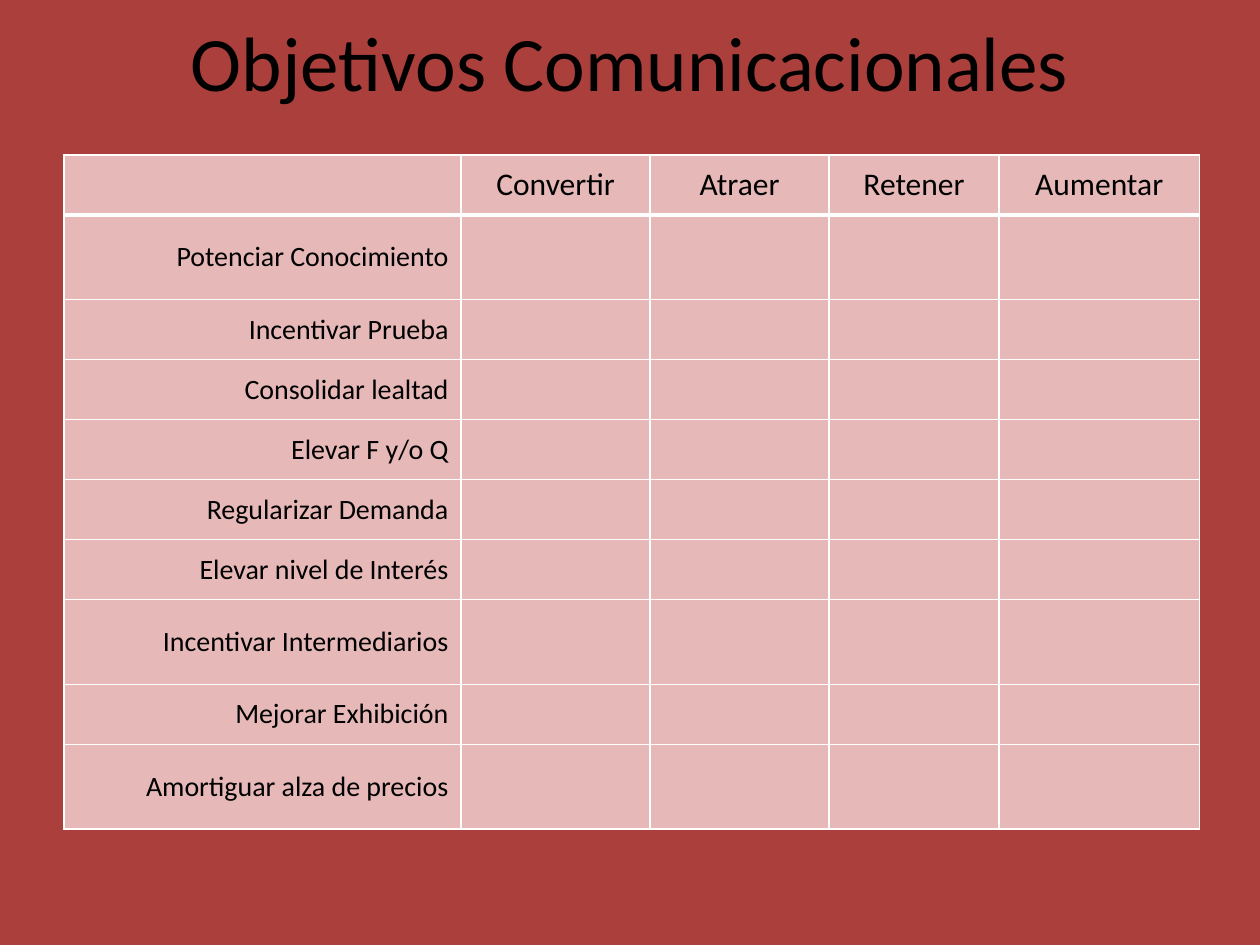
from dataclasses import dataclass

from lxml.etree import SubElement
from pptx import Presentation
from pptx.dml.color import RGBColor
from pptx.enum.text import MSO_ANCHOR, PP_ALIGN
from pptx.oxml.ns import qn
from pptx.util import Inches, Pt

TITLE = "Objetivos Comunicacionales"
STRATEGIES = ["Convertir", "Atraer", "Retener", "Aumentar"]
OBJECTIVES = [
    "Potenciar Conocimiento",
    "Incentivar Prueba",
    "Consolidar lealtad",
    "Elevar F y/o Q",
    "Regularizar Demanda",
    "Elevar nivel de Interés",
    "Incentivar Intermediarios",
    "Mejorar Exhibición",
    "Amortiguar alza de precios",
]
TALL_ROWS = {1, 7, 9}
ROW_H, TALL_ROW_H = 0.476, 0.673
COL_WIDTHS = [3.15, 1.5, 1.42, 1.35, 1.59]
TABLE_LEFT, TABLE_TOP = 0.51, 1.23


@dataclass(frozen=True)
class Theme:
    font: str = "Calibri"
    background: str = "AA3F3C"
    cell: str = "E6B9B8"
    border: str = "FFFFFF"
    text: str = "000000"
    title_size: int = 44
    header_size: int = 18
    label_size: int = 16


THEME = Theme()


def paint(fill, color):
    fill.solid()
    fill.fore_color.rgb = RGBColor.from_string(color)


def add_text(tf, text, size, align):
    p = tf.paragraphs[0]
    p.alignment = align
    r = p.add_run()
    r.text = text
    r.font.name = THEME.font
    r.font.size = Pt(size)
    r.font.color.rgb = RGBColor.from_string(THEME.text)
    return p


def set_borders(cell, bottom):
    """Draw 1 pt borders, with the bottom one as wide as asked."""
    tcPr = cell._tc.get_or_add_tcPr()
    for side, width in (("L", 1), ("R", 1), ("T", 1), ("B", bottom)):
        ln = SubElement(tcPr, qn(f"a:ln{side}"), w=str(Pt(width)))
        fill = SubElement(ln, qn("a:solidFill"))
        SubElement(fill, qn("a:srgbClr"), val=THEME.border)


def add_title(s):
    title = s.shapes.title
    title.left, title.top = 0, Inches(-0.03)
    title.width, title.height = Inches(10), Inches(1.02)
    tf = title.text_frame
    tf.vertical_anchor = MSO_ANCHOR.MIDDLE
    add_text(tf, TITLE, THEME.title_size, PP_ALIGN.CENTER)


def add_matrix(s):
    rows = [["", *STRATEGIES]] + [[name] + [""] * len(STRATEGIES) for name in OBJECTIVES]
    heights = [TALL_ROW_H if i in TALL_ROWS else ROW_H for i in range(len(rows))]
    table = s.shapes.add_table(
        len(rows), len(COL_WIDTHS), Inches(TABLE_LEFT), Inches(TABLE_TOP),
        Inches(sum(COL_WIDTHS)), Inches(sum(heights)),
    ).table
    for column, width in zip(table.columns, COL_WIDTHS):
        column.width = Inches(width)
    for i, (row, height) in enumerate(zip(rows, heights)):
        table.rows[i].height = Inches(height)
        for j, text in enumerate(row):
            cell = table.cell(i, j)
            set_borders(cell, bottom=3 if i == 0 else 1)
            paint(cell.fill, THEME.cell)
            cell.vertical_anchor = MSO_ANCHOR.MIDDLE
            if text and i == 0:
                add_text(cell.text_frame, text, THEME.header_size, PP_ALIGN.CENTER)
            elif text:
                p = add_text(cell.text_frame, text, THEME.label_size, PP_ALIGN.RIGHT)
                p.level = 1
                p._p.get_or_add_pPr().set("marL", str(Inches(0.5)))


def main():
    prs = Presentation()
    prs.slide_width, prs.slide_height = Inches(10), Inches(7.5)
    s = prs.slides.add_slide(prs.slide_layouts[5])
    paint(s.background.fill, THEME.background)
    add_title(s)
    add_matrix(s)
    prs.save("out.pptx")


if __name__ == "__main__":
    main()
